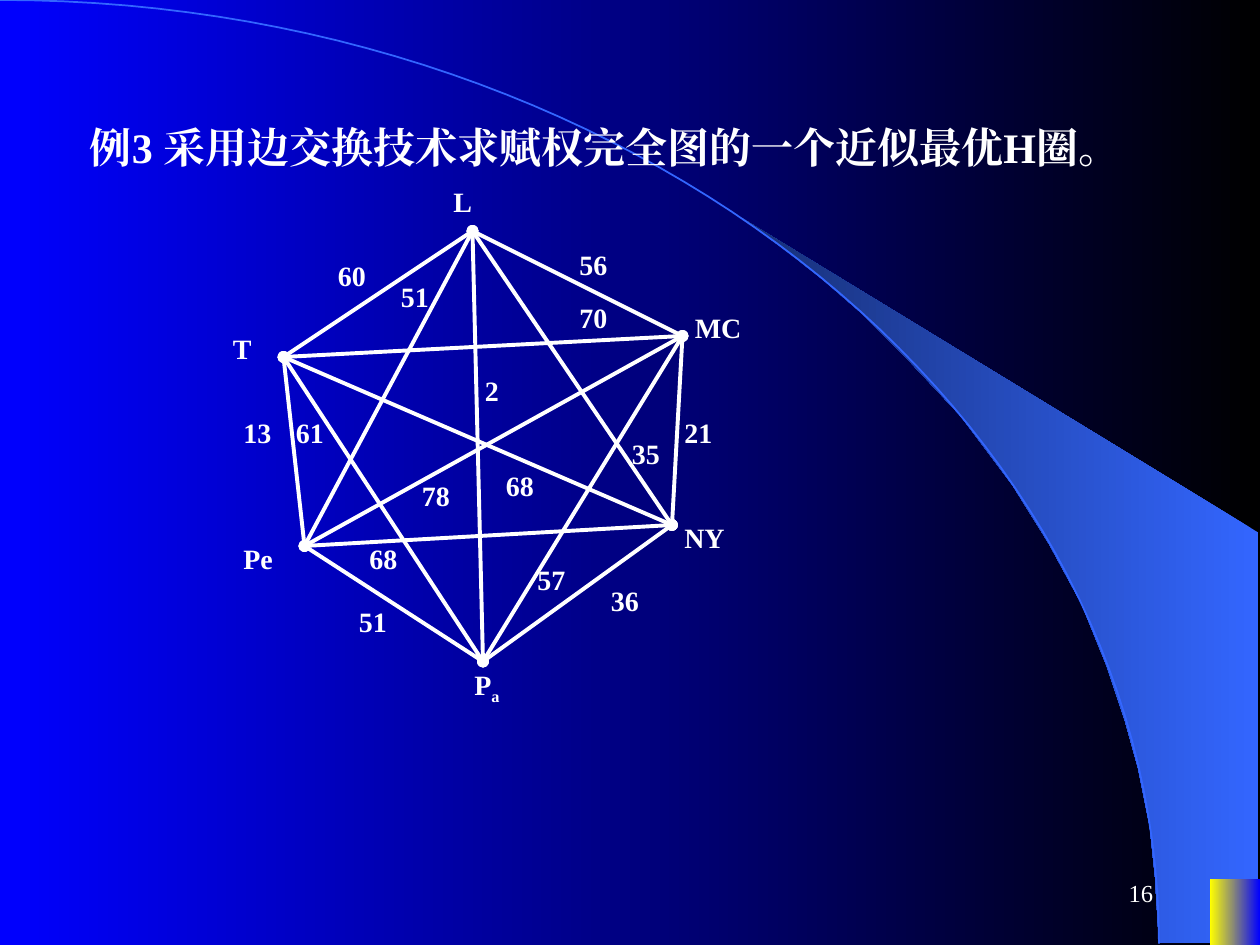
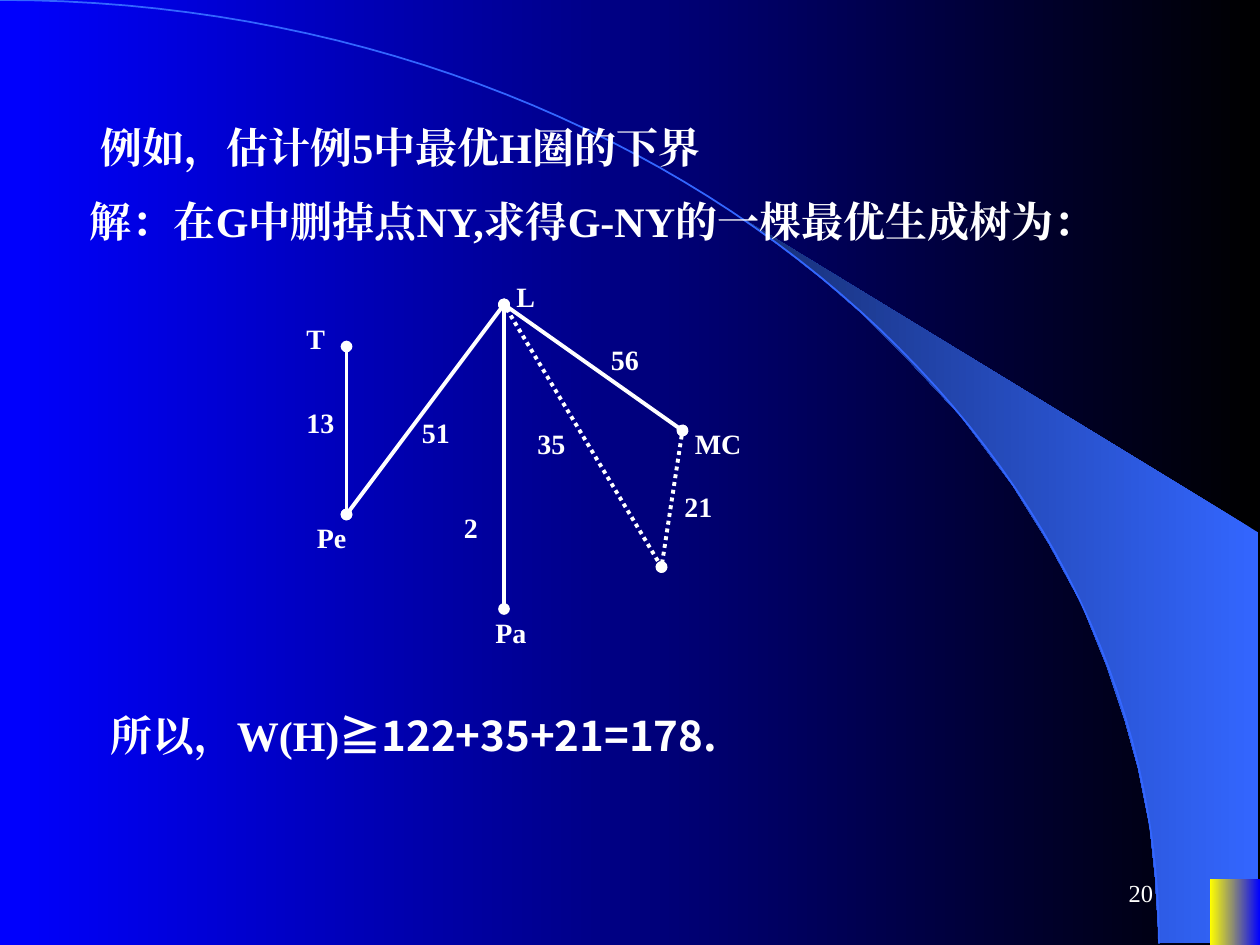
from dataclasses import dataclass
from itertools import combinations

from lxml.etree import SubElement
from pptx import Presentation
from pptx.dml.color import RGBColor
from pptx.dml.fill import FillFormat
from pptx.enum.dml import MSO_LINE
from pptx.enum.shapes import MSO_CONNECTOR, MSO_SHAPE
from pptx.enum.text import MSO_ANCHOR, PP_ALIGN
from pptx.oxml.ns import qn
from pptx.shapes.autoshape import Shape
from pptx.slide import Slide
from pptx.util import Pt

PX = 9525
WIDE, HIGH = 960, 720
SERIF = "Times New Roman"
SANS = "Noto Sans CJK SC"
HUES = {
    "black": "000000",
    "blue": "0000FF",
    "sky": "3366FF",
    "navy": "172F75",
    "yellow": "FFFF00",
    "white": "FFFFFF",
}
WEDGE = [
    (883, 718), (959, 719), (959, 406), (565, 166), (599, 191), (627, 213),
    (658, 240), (687, 269), (732, 317), (771, 369), (799, 414), (824, 460),
    (843, 507), (857, 549), (867, 585), (876, 630), (880, 668),
]
ARC = [(0, 0), (488, 0), (883, 322), (883, 719)]
ARC_STEPS = 60

Point = tuple[int, int]
Nodes = dict[str, Point]


@dataclass
class Piece:
    text: str
    size: int = 24
    font: str = SERIF
    bold: bool = True
    sub: bool = False


@dataclass
class Block:
    x: int
    y: int
    w: int
    h: int
    pieces: list[Piece]
    lead: int = 0
    before: int = 0
    align: PP_ALIGN = PP_ALIGN.LEFT
    anchor: MSO_ANCHOR = MSO_ANCHOR.TOP


@dataclass
class Label:
    text: str
    x: int
    y: int
    w: int = 50
    sub: str = ""


def hue(name: str) -> RGBColor:
    return RGBColor.from_string(HUES[name])


def fade(fill: FillFormat, right: str, left: str) -> None:
    """Blend two colours, running from the right edge to the left."""
    fill.gradient()
    fill.gradient_angle = 180
    for stop, name, place in zip(fill.gradient_stops, (right, left), (0, 1)):
        stop.color.rgb = hue(name)
        stop.position = place


def trace(slide: Slide, points: list[tuple[float, float]], close: bool) -> Shape:
    spots = [(round(x * PX), round(y * PX)) for x, y in points]
    pen = slide.shapes.build_freeform(*spots[0], scale=1.0)
    pen.add_line_segments(spots[1:], close=close)
    shape = pen.convert_to_shape()
    shape.shadow.inherit = False
    return shape


def curve(ends: list[Point], steps: int) -> list[tuple[float, float]]:
    """Sample a cubic Bezier curve at equal parameter steps."""
    points = []
    for step in range(steps + 1):
        t = step / steps
        parts = ((1 - t) ** 3, 3 * t * (1 - t) ** 2, 3 * t * t * (1 - t), t ** 3)
        points.append(tuple(sum(k * end[axis] for k, end in zip(parts, ends))
                            for axis in (0, 1)))
    return points


def write(slide: Slide, block: Block) -> None:
    box = slide.shapes.add_textbox(
        *(v * PX for v in (block.x, block.y, block.w, block.h)))
    frame = box.text_frame
    frame.word_wrap = True
    frame.vertical_anchor = block.anchor
    para = frame.paragraphs[0]
    para.alignment = block.align
    para.space_before = Pt(block.before)
    if block.lead:
        para._p.get_or_add_pPr().set("indent", str(block.lead * PX))
    for piece in block.pieces:
        run = para.add_run()
        run.text = piece.text
        font = run.font
        font.name, font.size, font.bold = piece.font, Pt(piece.size), piece.bold
        font.color.rgb = hue("white")
        props = run._r.get_or_add_rPr()
        SubElement(props, qn("a:ea")).set("typeface", piece.font)
        if piece.sub:
            props.set("baseline", "-25000")


def head(slide: Slide, x: int, y: int, w: int, h: int, *pieces: Piece) -> None:
    """Write a heading line with its first line set in."""
    write(slide, Block(x, y, w, h, list(pieces), lead=43, before=15))


def tag(slide: Slide, label: Label) -> None:
    pieces = [Piece(label.text, 16)]
    if label.sub:
        pieces.append(Piece(label.sub, 16, sub=True))
    write(slide, Block(label.x, label.y, label.w, 36, pieces))


def edge(slide: Slide, start: Point, end: Point, dots: bool = False) -> None:
    link = slide.shapes.add_connector(
        MSO_CONNECTOR.STRAIGHT, *(v * PX for v in start + end))
    link.line.color.rgb = hue("white")
    link.line.width = Pt(2.25)
    if dots:
        link.line.dash_style = MSO_LINE.ROUND_DOT
    line = link.line._get_or_add_ln()
    for side in ("a:headEnd", "a:tailEnd"):
        SubElement(line, qn(side)).set("type", "oval")
    SubElement(link._element.spPr, qn("a:effectLst"))


def begin(deck: Presentation, page: int) -> Slide:
    """Add a slide with the shared backdrop and page number."""
    slide = deck.slides.add_slide(deck.slide_layouts[6])
    fade(slide.background.fill, "black", "blue")
    wedge = trace(slide, WEDGE, True)
    fade(wedge.fill, "sky", "navy")
    wedge.line.fill.background()
    arc = trace(slide, curve(ARC, ARC_STEPS), False)
    arc.fill.background()
    arc.line.color.rgb = hue("sky")
    arc.line.width = Pt(1)
    bar = slide.shapes.add_shape(
        MSO_SHAPE.RECTANGLE, *(v * PX for v in (922, 670, 38, 50)))
    bar.shadow.inherit = False
    fade(bar.fill, "blue", "yellow")
    bar.line.fill.background()
    write(slide, Block(688, 656, 200, 48, [Piece(str(page), 14, bold=False)],
                       align=PP_ALIGN.RIGHT, anchor=MSO_ANCHOR.MIDDLE))
    return slide


def full(deck: Presentation) -> None:
    """Draw the complete weighted graph."""
    slide = begin(deck, 16)
    head(slide, 16, 88, 880, 48,
         Piece("例3 采用边交换技术求赋权完全图的一个近似最优H圈。"))
    nodes: Nodes = {
        "L": (360, 176), "T": (216, 272), "MC": (520, 256),
        "Pe": (232, 416), "NY": (512, 400), "Pa": (368, 504),
    }
    for start, end in combinations(nodes.values(), 2):
        edge(slide, start, end)
    labels = [
        Label("13", 176, 312), Label("2", 360, 280), Label("21", 512, 312),
        Label("70", 432, 224), Label("56", 432, 184), Label("51", 296, 208),
        Label("60", 248, 192), Label("78", 312, 360), Label("35", 472, 328),
        Label("36", 456, 440), Label("51", 264, 456), Label("68", 376, 352),
        Label("57", 400, 424), Label("68", 272, 408), Label("61", 216, 312),
        Label("T", 168, 248), Label("Pe", 176, 408, 82),
        Label("P", 352, 504, 82, "a"), Label("NY", 512, 392, 74),
        Label("MC", 520, 232, 65), Label("L", 336, 136),
    ]
    for label in labels:
        tag(slide, label)


def tree(deck: Presentation) -> None:
    """Draw the spanning tree, with the two edges to NY dotted."""
    slide = begin(deck, 20)
    head(slide, 24, 88, 832, 48, Piece("例如，估计例5中最优H圈的下界"))
    head(slide, 16, 144, 832, 86,
         Piece("解：在G中删掉点NY,求得G-NY的一棵最优生成树为："))
    nodes: Nodes = {
        "T": (264, 264), "Pe": (264, 392), "L": (384, 232),
        "Pa": (384, 464), "MC": (520, 328), "NY": (504, 432),
    }
    links = [("T", "Pe"), ("Pe", "L"), ("L", "Pa"), ("L", "MC"),
             ("MC", "NY"), ("L", "NY")]
    for start, end in links:
        edge(slide, nodes[start], nodes[end], dots=end == "NY")
    labels = [
        Label("51", 312, 312), Label("13", 224, 304), Label("56", 456, 256),
        Label("2", 344, 384), Label("35", 400, 320), Label("21", 512, 368),
        Label("MC", 520, 320, 82), Label("Pa", 368, 464), Label("L", 384, 208),
        Label("Pe", 232, 392), Label("T", 224, 240),
    ]
    for label in labels:
        tag(slide, label)
    head(slide, 32, 536, 832, 48, Piece("所以，W(H)"),
         Piece("≧122+35+21=178.", font=SANS))


def main() -> None:
    deck = Presentation()
    deck.slide_width, deck.slide_height = WIDE * PX, HIGH * PX
    full(deck)
    tree(deck)
    deck.save("out.pptx")


if __name__ == "__main__":
    main()
